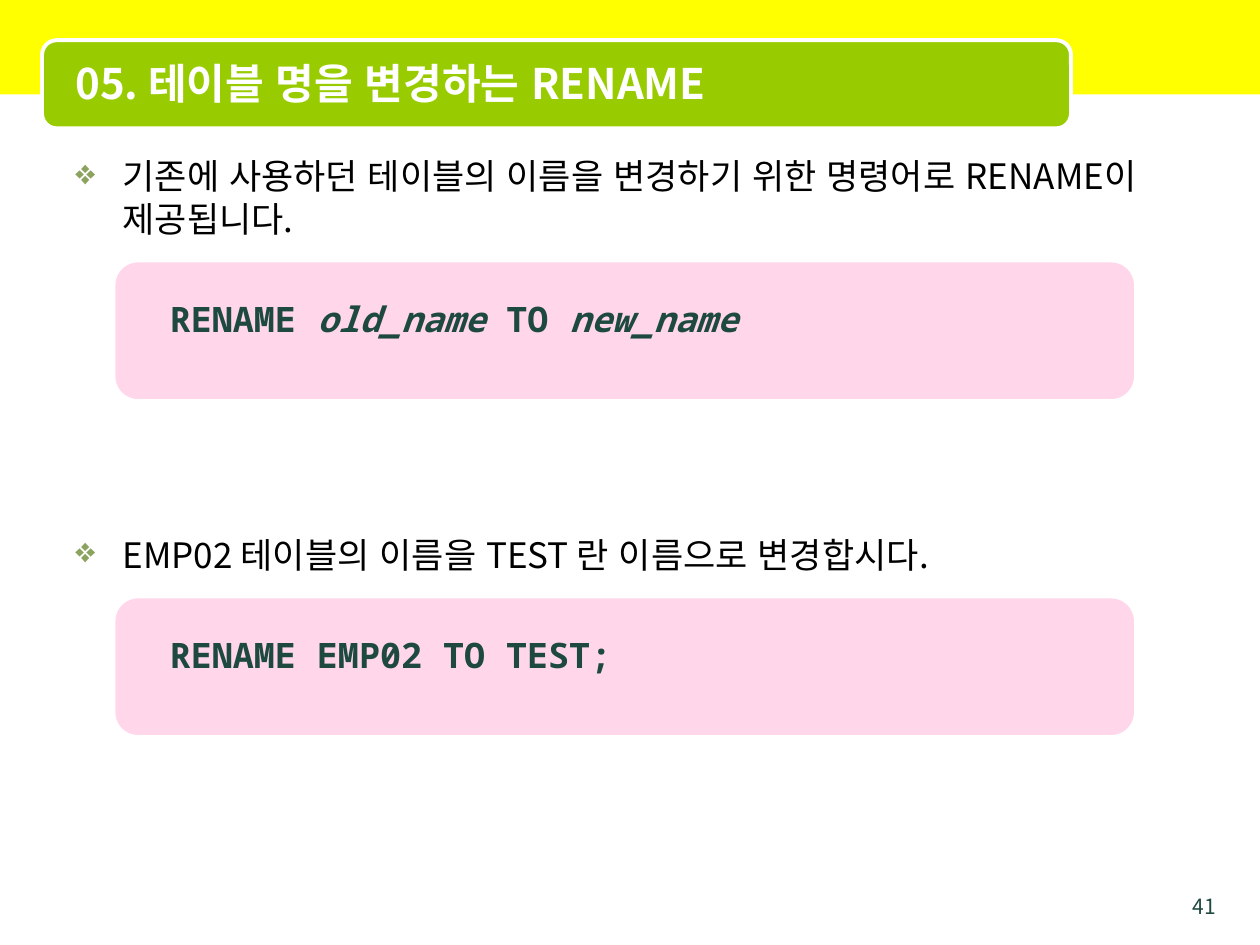
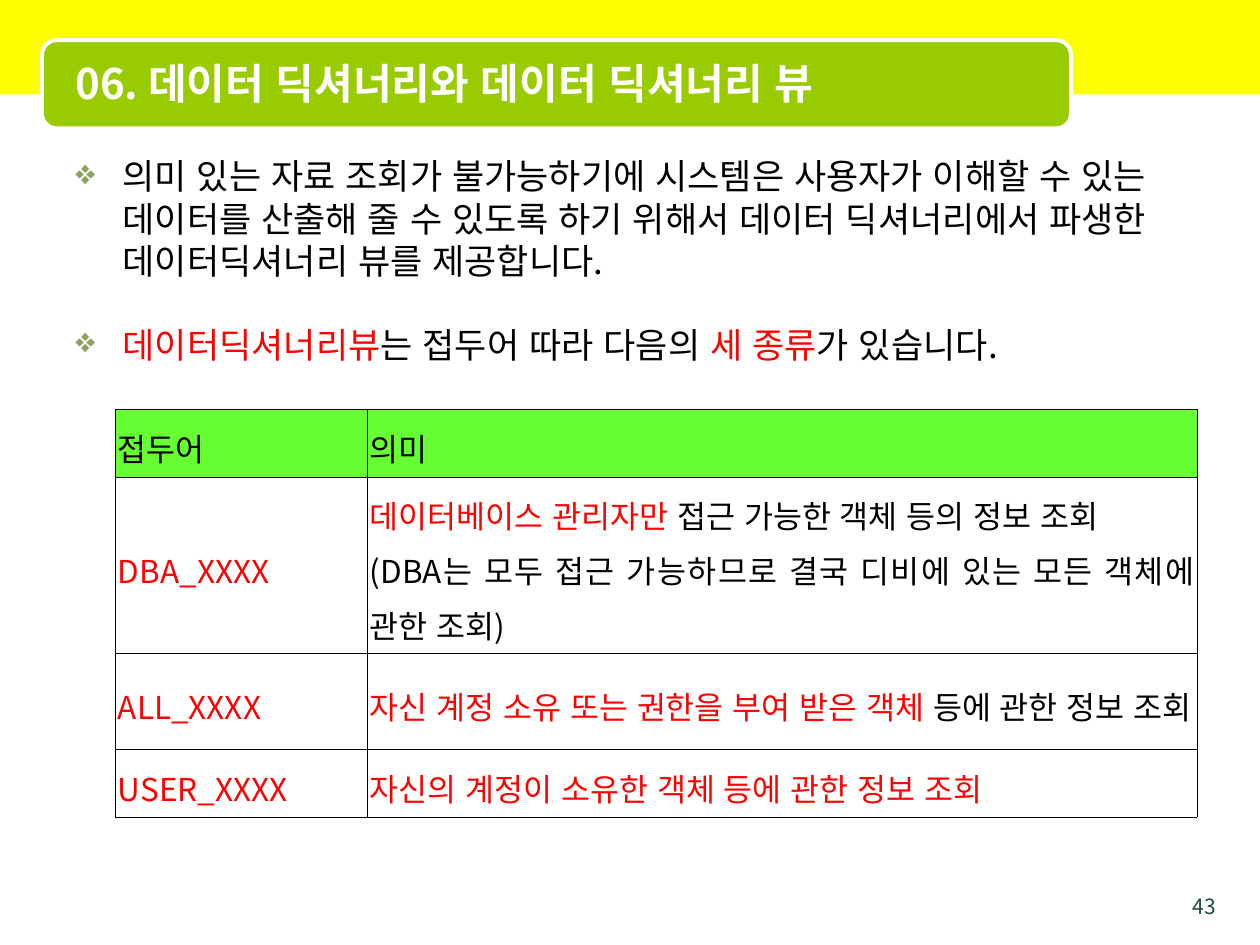
from lxml import etree
from pptx import Presentation
from pptx.dml.color import RGBColor
from pptx.enum.lang import MSO_LANGUAGE_ID
from pptx.enum.shapes import MSO_SHAPE
from pptx.enum.text import MSO_ANCHOR, PP_ALIGN
from pptx.oxml.ns import qn
from pptx.util import Pt

RECT, ROUND = MSO_SHAPE.RECTANGLE, MSO_SHAPE.ROUNDED_RECTANGLE
TOP, MIDDLE = MSO_ANCHOR.TOP, MSO_ANCHOR.MIDDLE
LEFT, RIGHT, JUSTIFY = PP_ALIGN.LEFT, PP_ALIGN.RIGHT, PP_ALIGN.JUSTIFY
KOREAN = MSO_LANGUAGE_ID.KOREAN

SANS, MONO = "Noto Sans CJK KR", "Noto Sans Mono"
YELLOW, GREEN, WHITE, BLACK = "FFFF00", "99CC00", "FFFFFF", "000000"
PINK, RED, DARK, BULLET, HEADER = "FF99CC", "FF0000", "1D4940", "8CA35F", "66FF33"


def color(value):
    return RGBColor.from_string(value)


def add_element(parent, tag, **attrs):
    return etree.SubElement(parent, qn(tag), attrs)


def add_run(p, text, size, fill, font=SANS, bold=False, italic=False):
    r = p.add_run()
    r.text = text
    f = r.font
    f.name, f.size, f.bold, f.italic = font, Pt(size), bold, italic
    f.color.rgb = color(fill)
    f.language_id = KOREAN
    add_element(f._element, "a:ea", typeface=font)


def add_panel(shapes, kind, box, fill, line=None):
    sp = shapes.add_shape(kind, *map(Pt, box))
    sp.shadow.inherit = False
    sp.fill.solid()
    sp.fill.fore_color.rgb = color(fill)
    if line:
        sp.line.color.rgb = color(line)
        sp.line.width = Pt(2.25)
    else:
        sp.line.fill.background()
    return sp


def add_text(shapes, box, anchor=TOP, align=LEFT):
    tf = shapes.add_textbox(*map(Pt, box)).text_frame
    tf.word_wrap = True
    tf.vertical_anchor = anchor
    tf.paragraphs[0].alignment = align
    return tf


def add_frame(prs, title, number):
    s = prs.slides.add_slide(prs.slide_layouts[6])
    add_panel(s.shapes, RECT, (0, 0, 720, 54), YELLOW)
    add_panel(s.shapes, ROUND, (24, 23, 588, 50.4), GREEN, WHITE)
    tf = add_text(s.shapes, (36, 25, 570, 44.6), MIDDLE)
    add_run(tf.paragraphs[0], title, 24, WHITE, bold=True)
    tf = add_text(s.shapes, (666, 507, 36, 15), align=RIGHT)
    add_run(tf.paragraphs[0], number, 12, DARK)
    return s


def add_bullets(s, items, gap):
    tf = add_text(s.shapes, (36, 85, 648, 442))
    for i, runs in enumerate(items):
        p = tf.add_paragraph() if i else tf.paragraphs[0]
        p.line_spacing = Pt(24)
        p.space_before = Pt(gap if i else 0)
        pPr = p._p.get_or_add_pPr()
        pPr.set("marL", str(Pt(27)))
        pPr.set("indent", str(-Pt(27)))
        add_element(add_element(pPr, "a:buClr"), "a:srgbClr", val=BULLET)
        add_element(pPr, "a:buChar", char="❖")
        for text, fill in runs:
            add_run(p, text, 20, fill)


def add_code(s, box, runs):
    x, y, w, h = box
    shapes = s.shapes.add_group_shape().shapes
    sp = add_panel(shapes, ROUND, box, PINK)
    rgb = sp.fill._xPr.find(qn("a:solidFill")).find(qn("a:srgbClr"))
    add_element(rgb, "a:alpha", val="40000")
    tf = add_text(shapes, (x + 24, y + 16.4, w - 48, 32))
    for text, italic in runs:
        add_run(tf.paragraphs[0], text, 20, DARK, MONO, True, italic)


def style_cell(cell, fill):
    cell.vertical_anchor = MIDDLE
    cell.margin_left = cell.margin_right = Pt(1.4)
    cell.margin_top = cell.margin_bottom = Pt(3.6)
    tcPr = cell._tc.get_or_add_tcPr()
    for side in ("a:lnL", "a:lnR", "a:lnT", "a:lnB"):
        ln = add_element(tcPr, side, w=str(Pt(0.11)))
        add_element(add_element(ln, "a:solidFill"), "a:srgbClr", val=BLACK)
    if fill:
        cell.fill.solid()
        cell.fill.fore_color.rgb = color(fill)
    else:
        cell.fill.background()


def add_grid(s, x, y, widths, heights, rows):
    box = x, y, sum(widths), sum(heights)
    table = s.shapes.add_table(len(rows), len(widths), *map(Pt, box)).table
    table.first_row = table.horz_banding = False
    for column, width in zip(table.columns, widths):
        column.width = Pt(width)
    for i, (height, cells) in enumerate(zip(heights, rows)):
        table.rows[i].height = Pt(height)
        for j, paragraphs in enumerate(cells):
            cell = table.cell(i, j)
            style_cell(cell, None if i else HEADER)
            tf = cell.text_frame
            for k, runs in enumerate(paragraphs):
                p = tf.add_paragraph() if k else tf.paragraphs[0]
                p.alignment = JUSTIFY
                p.line_spacing = 1.2
                for text, fill in runs:
                    add_run(p, text, 18, fill)


def build_rename(prs):
    s = add_frame(prs, "05. 테이블 명을 변경하는 RENAME", "41")
    add_bullets(s, [
        [("기존에 사용하던 테이블의 이름을 변경하기 위한 명령어로 RENAME이 제공됩니다.", BLACK)],
        [("EMP02 테이블의 이름을 TEST 란 이름으로 변경합시다.", BLACK)],
    ], 168)
    examples = [
        [("RENAME ", False), ("old_name", True), (" TO ", False), ("new_name", True)],
        [("RENAME EMP02 TO TEST;", False)],
    ]
    for i, runs in enumerate(examples):
        add_code(s, (66, 150 + 192 * i, 582, 78), runs)


def build_dictionary(prs):
    s = add_frame(prs, "06. 데이터 딕셔너리와 데이터 딕셔너리 뷰", "43")
    add_bullets(s, [
        [("의미 있는 자료 조회가 불가능하기에 시스템은 사용자가 이해할 수 있는 "
          "데이터를 산출해 줄 수 있도록 하기 위해서 데이터 딕셔너리에서 파생한 "
          "데이터딕셔너리 뷰를 제공합니다.", BLACK)],
        [("데이터딕셔너리뷰", RED), ("는 접두어 따라 다음의 ", BLACK),
         ("세 종류", RED), ("가 있습니다.", BLACK)],
    ], 24)
    rows = [
        [[[("접두어", BLACK)]], [[("의미", BLACK)]]],
        [[[("DBA_XXXX", RED)]],
         [[("데이터베이스 관리자만 ", RED), ("접근 가능한 객체 등의 정보 조회", BLACK)],
          [("(DBA는 모두 접근 가능하므로 결국 디비에 있는 모든 객체에 관한 조회)", BLACK)]]],
        [[[("ALL_XXXX", RED)]],
         [[("자신 계정 소유 또는 권한을 부여 받은 객체 ", RED), ("등에 관한 정보 조회", BLACK)]]],
        [[[("USER_XXXX", RED)]],
         [[("자신의 계정이 소유한 객체 등에 관한 정보 조회", RED)]]],
    ]
    add_grid(s, 66, 234, (144, 474), (38.6, 100.8, 54.7, 38.6), rows)


def main():
    prs = Presentation()
    prs.slide_width, prs.slide_height = Pt(720), Pt(540)
    build_rename(prs)
    build_dictionary(prs)
    prs.save("out.pptx")


if __name__ == "__main__":
    main()
